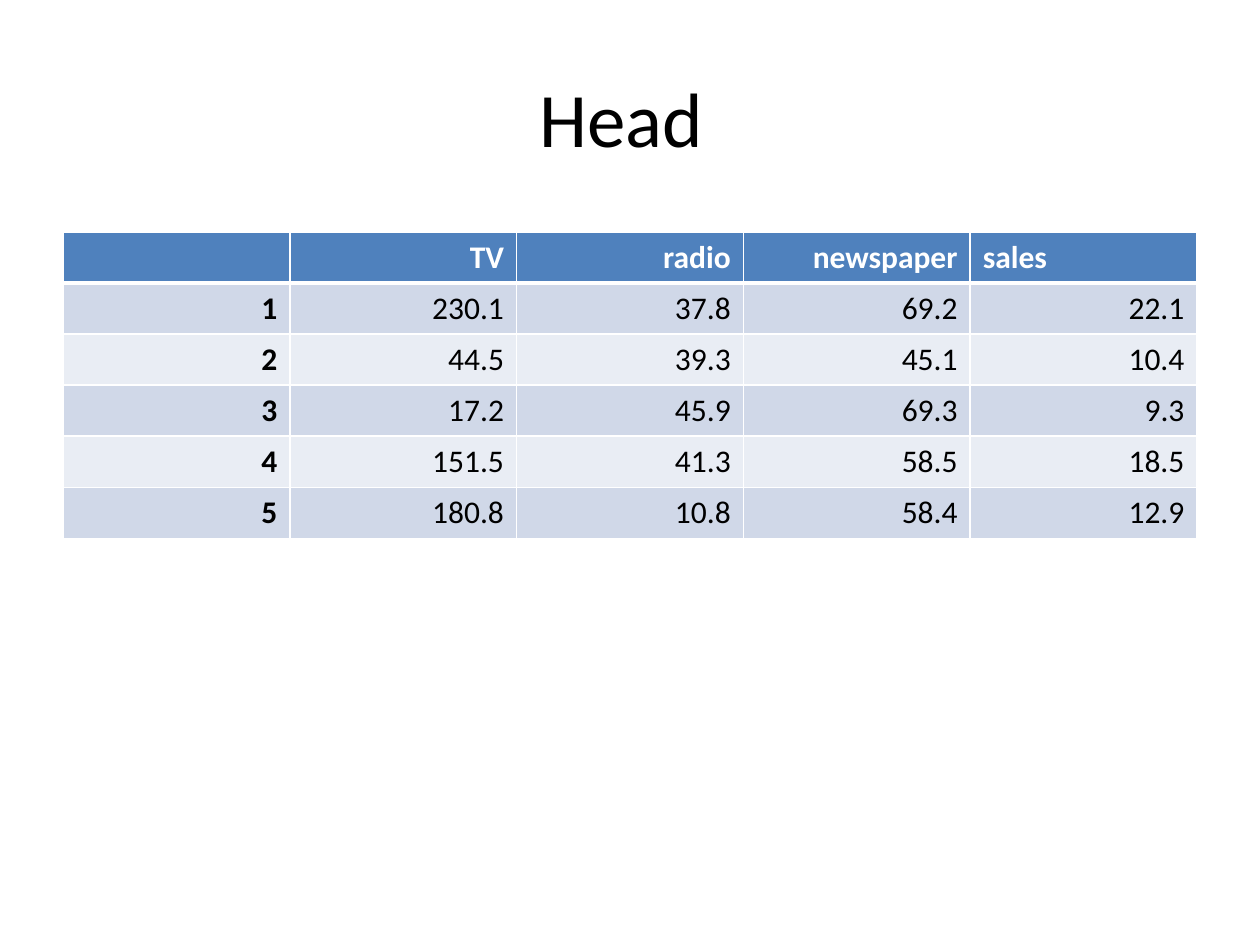
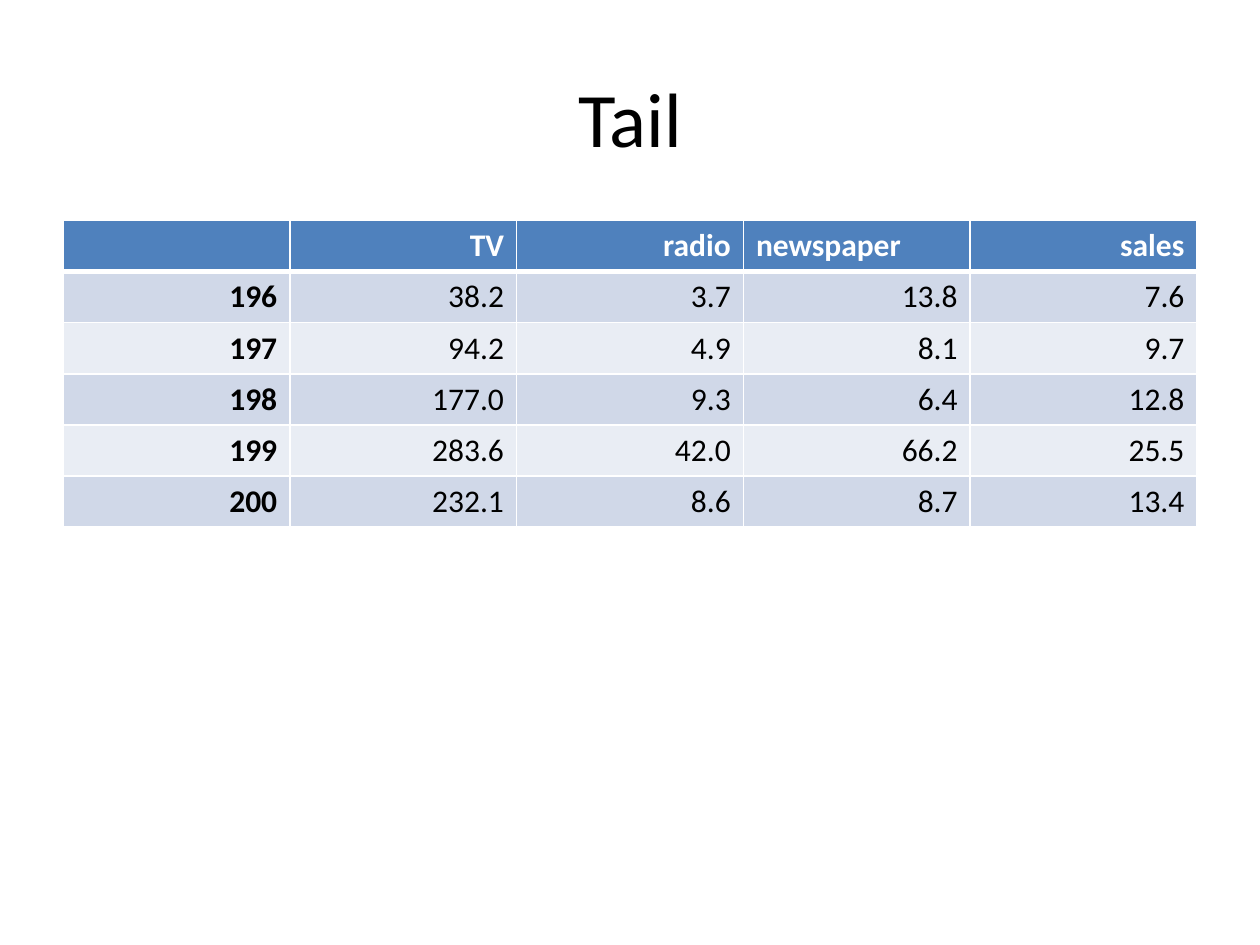
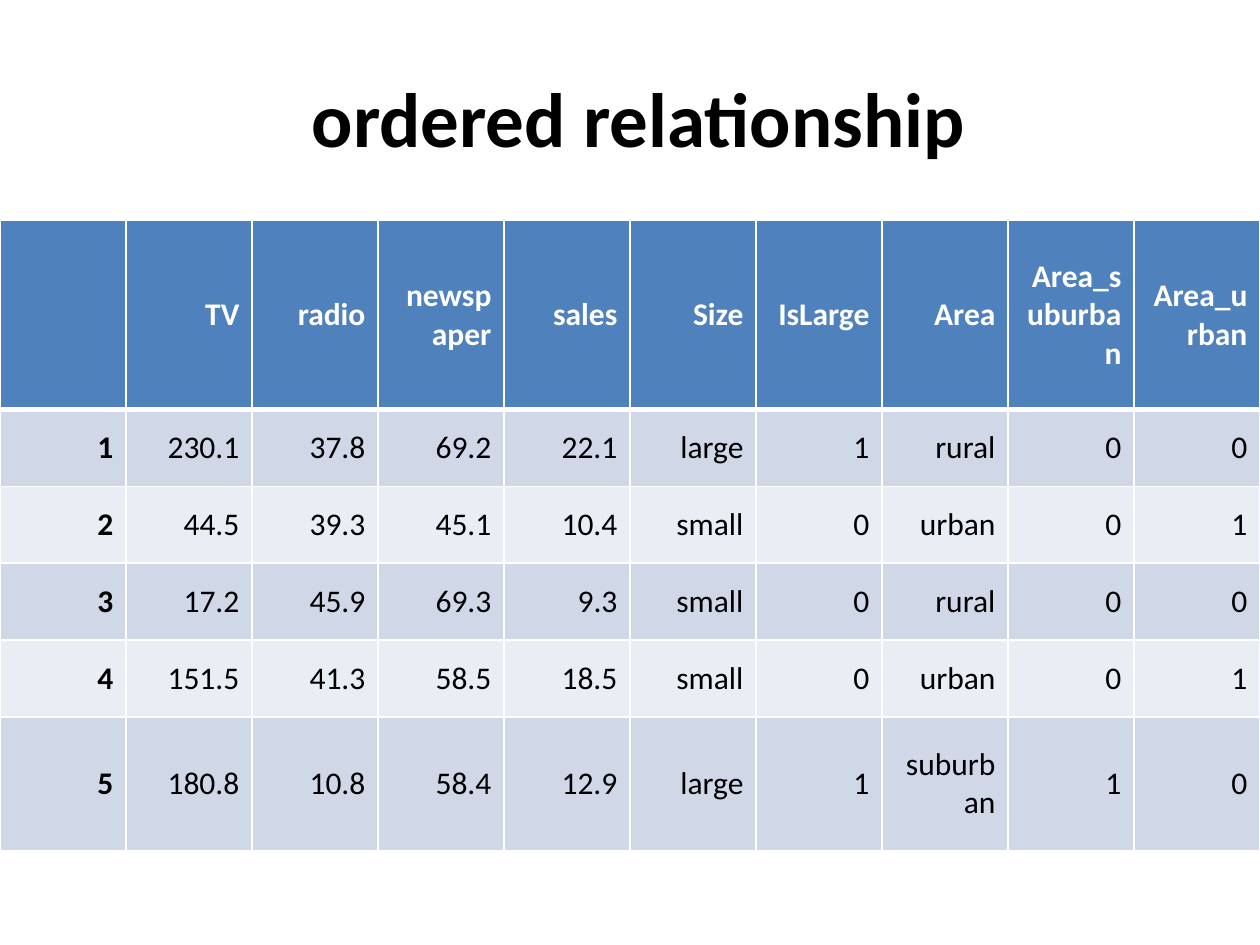
from lxml import etree
from pptx import Presentation
from pptx.dml.color import RGBColor
from pptx.enum import text
from pptx.oxml.ns import qn
from pptx.util import Inches, Pt

FONT = "Calibri"
COLORS = {
    "header": "4F81BD",
    "odd_row": "D0D8E8",
    "even_row": "E9EDF4",
    "border": "FFFFFF",
    "header_text": "FFFFFF",
    "text": "000000",
}
MEDIA = ["", "TV", "radio", "newspaper", "sales"]
HEAD_ROWS = [
    ["1", "230.1", "37.8", "69.2", "22.1"],
    ["2", "44.5", "39.3", "45.1", "10.4"],
    ["3", "17.2", "45.9", "69.3", "9.3"],
    ["4", "151.5", "41.3", "58.5", "18.5"],
    ["5", "180.8", "10.8", "58.4", "12.9"],
]
TAIL_ROWS = [
    ["196", "38.2", "3.7", "13.8", "7.6"],
    ["197", "94.2", "4.9", "8.1", "9.7"],
    ["198", "177.0", "9.3", "6.4", "12.8"],
    ["199", "283.6", "42.0", "66.2", "25.5"],
    ["200", "232.1", "8.6", "8.7", "13.4"],
]
FEATURES = ["Size", "IsLarge", "Area", "Area_suburban", "Area_urban"]
FEATURE_ROWS = [
    ["large", "1", "rural", "0", "0"],
    ["small", "0", "urban", "0", "1"],
    ["small", "0", "rural", "0", "0"],
    ["small", "0", "urban", "0", "1"],
    ["large", "1", "suburban", "1", "0"],
]
EVEN_HEIGHTS = [0.405] * 6

# Title runs are (text, bold); "left_header" is the one left-aligned heading.
SLIDES = [
    {"title": [("Head ", False)], "rows": [MEDIA] + HEAD_ROWS,
     "left_header": "sales", "at": (0.5, 1.84), "width": 9, "heights": EVEN_HEIGHTS},
    {"title": [("Tail", False)], "rows": [MEDIA] + TAIL_ROWS,
     "left_header": "newspaper", "at": (0.5, 1.75), "width": 9, "heights": EVEN_HEIGHTS},
    {"title": [(" ", False), ("ordered relationship", True)],
     "rows": [MEDIA + FEATURES] + [a + b for a, b in zip(HEAD_ROWS, FEATURE_ROWS)],
     "left_header": None, "at": (0, 1.75), "width": 10,
     "heights": [1.5, 0.61, 0.61, 0.61, 0.61, 1.06]},
]


def rgb(name):
    return RGBColor.from_string(COLORS[name])


def add_title(s, runs):
    sp = s.shapes.title
    sp.left, sp.top, sp.width, sp.height = map(Inches, (0.5, 0.3, 9, 1.25))
    tf = sp.text_frame
    tf.vertical_anchor = text.MSO_ANCHOR.MIDDLE
    p = tf.paragraphs[0]
    p.alignment = text.PP_ALIGN.CENTER
    for words, bold in runs:
        r = p.add_run()
        r.text = words
        r.font.name, r.font.size, r.font.bold = FONT, Pt(44), bold
        r.font.color.rgb = rgb("text")


def set_borders(cell, top, bottom):
    tc_pr = cell._tc.get_or_add_tcPr()
    for tag, points in (("lnL", 1), ("lnR", 1), ("lnT", top), ("lnB", bottom)):
        ln = etree.SubElement(tc_pr, qn(f"a:{tag}"), w=str(Pt(points)))
        fill = etree.SubElement(ln, qn("a:solidFill"))
        etree.SubElement(fill, qn("a:srgbClr"), val=COLORS["border"])


def format_cell(cell, words, row, col, align):
    header = row == 0
    set_borders(cell, top=3 if row == 1 else 1, bottom=3 if header else 1)
    cell.fill.solid()
    cell.fill.fore_color.rgb = rgb("header" if header else "odd_row" if row % 2 else "even_row")
    cell.vertical_anchor = text.MSO_ANCHOR.MIDDLE
    cell.text = words
    p = cell.text_frame.paragraphs[0]
    p.alignment = align
    p.font.name, p.font.size = FONT, Pt(18)
    p.font.bold = header or col == 0
    p.font.color.rgb = rgb("header_text" if header else "text")


def add_data_table(s, rows, left_header, at, width, heights):
    left, top = at
    columns = len(rows[0])
    table = s.shapes.add_table(len(rows), columns, Inches(left), Inches(top),
                               Inches(width), Inches(sum(heights))).table
    for column in table.columns:
        column.width = Inches(width / columns)
    for i, (values, height) in enumerate(zip(rows, heights)):
        table.rows[i].height = Inches(height)
        for j, words in enumerate(values):
            is_left = i == 0 and words == left_header
            align = text.PP_ALIGN.LEFT if is_left else text.PP_ALIGN.RIGHT
            format_cell(table.cell(i, j), words, i, j, align)


def main():
    prs = Presentation()
    prs.slide_width, prs.slide_height = Inches(10), Inches(7.5)
    title_only = prs.slide_layouts[5]
    for content in SLIDES:
        s = prs.slides.add_slide(title_only)
        add_title(s, content["title"])
        add_data_table(s, content["rows"], content["left_header"], content["at"],
                       content["width"], content["heights"])
    prs.save("out.pptx")


if __name__ == "__main__":
    main()
